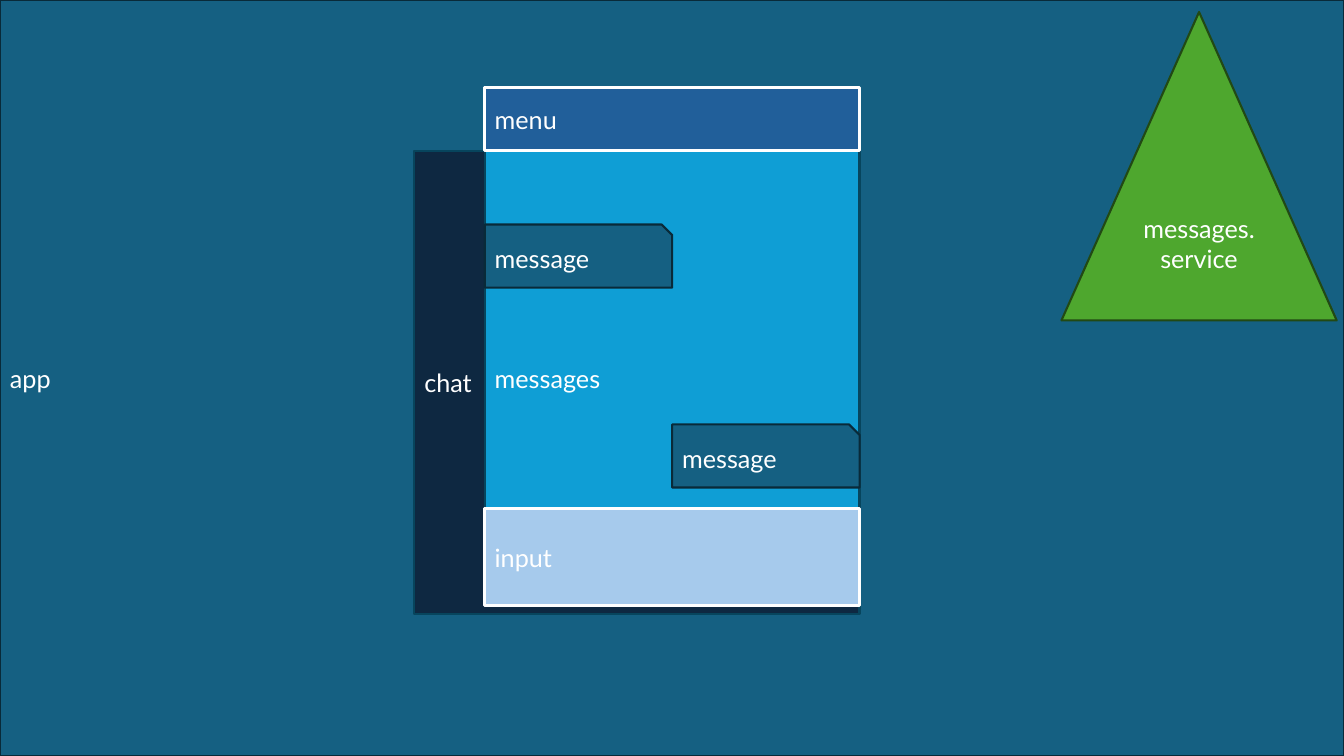
from pptx import Presentation
from pptx import util as u
from pptx.dml import color
from pptx.enum import shapes, text

RECTANGLE = shapes.MSO_SHAPE.RECTANGLE
SNIPPED = shapes.MSO_SHAPE.SNIP_1_RECTANGLE
TRIANGLE = shapes.MSO_SHAPE.ISOSCELES_TRIANGLE
LEFT = text.PP_ALIGN.LEFT
CENTER = text.PP_ALIGN.CENTER


def rgb(value):
    return color.RGBColor.from_string(value)


def add_block(slide, label, box, fill, line, line_width=1.5, kind=RECTANGLE, align=LEFT):
    shape = slide.shapes.add_shape(kind, *(u.Pt(length) for length in box))
    shape.shadow.inherit = False
    shape.fill.solid()
    shape.fill.fore_color.rgb = rgb(fill)
    shape.line.color.rgb = rgb(line)
    shape.line.width = u.Pt(line_width)
    frame = shape.text_frame
    frame.word_wrap = True
    frame.vertical_anchor = text.MSO_ANCHOR.MIDDLE
    paragraph = frame.paragraphs[0]
    paragraph.alignment = align
    run = paragraph.add_run()
    run.text = label
    run.font.name = "Lato"
    run.font.size = u.Pt(18)
    run.font.color.rgb = rgb("FFFFFF")


def add_message(slide, left, top, width):
    add_block(slide, "message", (left, top, width, 45), "156082", "092A39", kind=SNIPPED)


def add_chat(slide, box):
    left, top, width, height = box
    sidebar = 50.3
    menu_height, input_height, bottom_gap = 45, 69.3, 6
    column_left, column_width = left + sidebar, width - sidebar
    column_height = height - bottom_gap
    input_top = top + column_height - input_height
    half = column_width / 2

    add_block(slide, "chat", box, "0E2841", "07455D")
    add_block(slide, "messages", (column_left, top, column_width, column_height),
              "0F9ED5", "07455D")
    add_block(slide, "input", (column_left, input_top, column_width, input_height),
              "A6CAEC", "FFFFFF", 2)
    add_block(slide, "menu", (column_left, top - menu_height - 0.5, column_width, menu_height),
              "215F9A", "FFFFFF", 2)
    add_message(slide, column_left + half, top + 195.2, half)
    add_message(slide, column_left, top + 52.4, half)


def add_app(slide, box):
    left, top, width, height = box
    add_block(slide, "app", box, "156082", "092A39")
    add_chat(slide, (left + 296, top + 108, 318, 330.5))
    add_block(slide, "messages.service", (left + width - 201.8, top + 8.6, 196.6, 220.3),
              "4EA72E", "224914", kind=TRIANGLE, align=CENTER)


def main():
    presentation = Presentation()
    presentation.slide_width = u.Pt(960)
    presentation.slide_height = u.Pt(540)
    slide = presentation.slides.add_slide(presentation.slide_layouts[6])
    add_app(slide, (0, 0, 960, 540))
    presentation.save("out.pptx")


if __name__ == "__main__":
    main()
